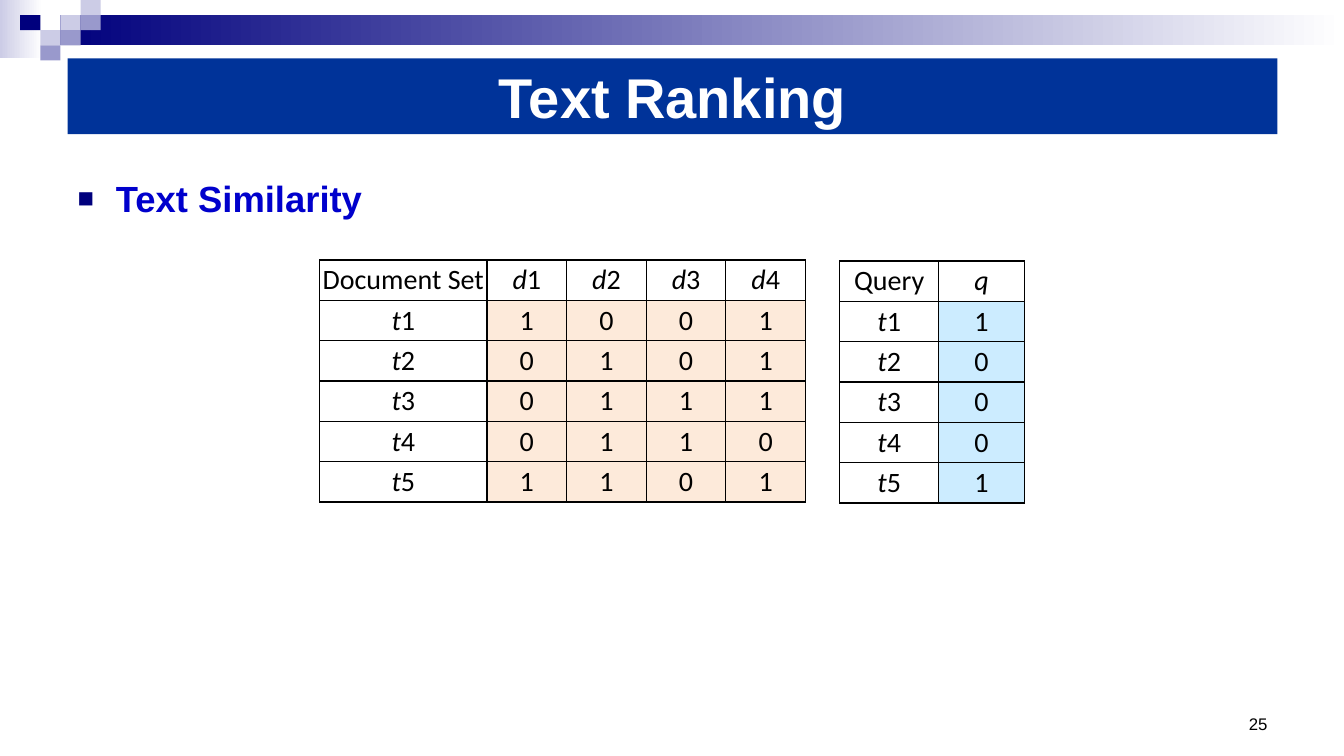
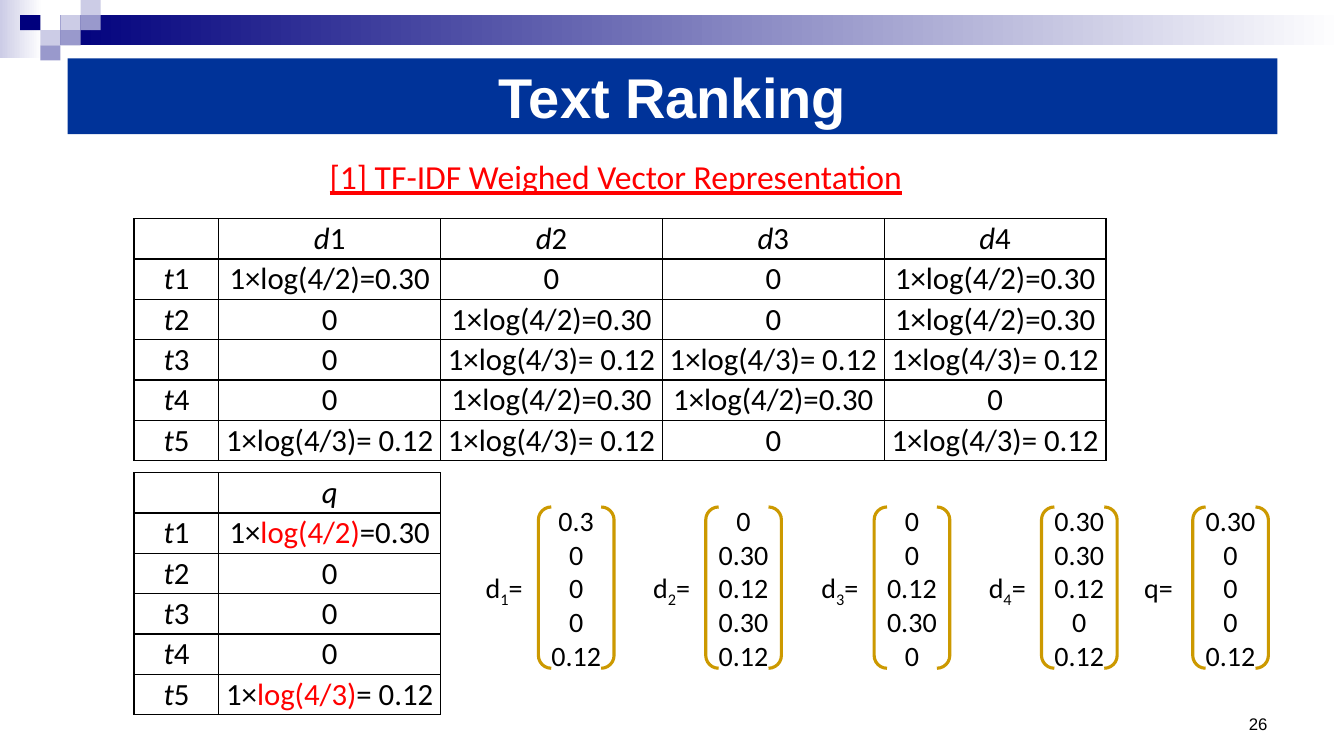
from lxml import etree
from pptx import Presentation
from pptx.dml.color import RGBColor
from pptx.enum.shapes import MSO_SHAPE
from pptx.enum.text import MSO_ANCHOR, MSO_AUTO_SIZE, PP_ALIGN
from pptx.oxml.ns import qn
from pptx.util import Pt

PX = 9144  # EMU per px, 100 px to the inch
LEFT, CENTER, RIGHT = PP_ALIGN.LEFT, PP_ALIGN.CENTER, PP_ALIGN.RIGHT
TOP, MIDDLE, BOTTOM = MSO_ANCHOR.TOP, MSO_ANCHOR.MIDDLE, MSO_ANCHOR.BOTTOM
RECT, BRACKETS = MSO_SHAPE.RECTANGLE, MSO_SHAPE.DOUBLE_BRACKET
NO_FIT = MSO_AUTO_SIZE.NONE
TITLE_AND_BODY, TITLE_ONLY = 1, 5

WHITE = RGBColor(0xFF, 0xFF, 0xFF)
BLACK = RGBColor(0, 0, 0)
RED = RGBColor(0xFF, 0, 0)
NAVY = RGBColor(0, 0, 0x7D)
BAND_BLUE = RGBColor(0, 0x33, 0x99)
LIST_BLUE = RGBColor(0, 0, 0xCC)
LILAC = RGBColor(0xCC, 0xCC, 0xE6)
VIOLET = RGBColor(0x99, 0x99, 0xCC)
PEACH = RGBColor(0xFD, 0xEA, 0xDA)
SKY = RGBColor(0xCC, 0xEC, 0xFF)
GOLD = RGBColor(0xCC, 0x99, 0)

# Corner mosaic and bar: left, top, width, height, colours
GRADIENTS = [(0, 0, 42, 58, LILAC), (60, 15, 1273, 30, NAVY)]
TILES = [(60, 15, LILAC), (80, 0, LILAC), (80, 15, VIOLET), (40, 30, LILAC),
         (20, 15, NAVY), (60, 30, VIOLET), (40, 45, VIOLET)]

# Term counts: one row per term, one column per document
COUNTS = [(1, 0, 0, 1), (0, 1, 0, 1), (0, 1, 1, 1), (0, 1, 1, 0), (1, 1, 0, 1)]
QUERY = (1, 0, 0, 0, 1)
IDF = {2: ("log(4/2)", "=0.30"), 3: ("log(4/3)", "= 0.12")}

# Vectors: left edge of the brackets, name, index, components
VECTORS = [
    (534, "d", "1", ["0.3", "0", "0", "0", "0.12"]),
    (700, "d", "2", ["0", "0.30", "0.12", "0.30", "0.12"]),
    (867, "d", "3", ["0", "0", "0.12", "0.30", "0"]),
    (1033, "d", "4", ["0.30", "0.30", "0.12", "0", "0.12"]),
    (1183, "q", "", ["0.30", "0", "0", "0", "0.12"]),
]


def write(frame, *lines, size=20, font="Calibri", color=BLACK, bold=False,
          underline=False, align=LEFT, anchor=TOP, wrap=True):
    """Fill a frame; a line is a string or a list of (text, style) runs."""
    frame.word_wrap = wrap
    frame.vertical_anchor = anchor
    for number, line in enumerate(lines):
        paragraph = frame.add_paragraph() if number else frame.paragraphs[0]
        paragraph.alignment = align
        for text, style in [(line, {})] if isinstance(line, str) else line:
            run = paragraph.add_run()
            run.text = text
            run.font.name, run.font.size = font, Pt(size)
            run.font.bold, run.font.underline = bold, underline
            run.font.italic = style.get("italic", False)
            run.font.color.rgb = style.get("color", color)
            if "baseline" in style:
                run.font._element.set("baseline", str(style["baseline"]))


def variable(letter, index=""):
    return [(letter, {"italic": True})] + ([(str(index), {})] if index else [])


def weight(count, counts, color=BLACK):
    """TF-IDF cell of a term that occurs as listed in counts."""
    if not count:
        return "0"
    log, result = IDF[sum(counts)]
    return [(f"{count}×", {}), (log, {"color": color}), (result, {})]


def term_rows(header, rows):
    return [header] + [[variable("t", number), *row]
                       for number, row in enumerate(rows, 1)]


class Deck:
    def __init__(self):
        self.file = Presentation()
        self.file.slide_width, self.file.slide_height = 1333 * PX, 750 * PX
        self.slide = None

    def start(self, layout, title, number):
        """Add a slide with the shared bar, title band and number."""
        self.slide = self.file.slides.add_slide(self.file.slide_layouts[layout])
        for *box, color in GRADIENTS:
            fill = self.shape(RECT, *box).fill
            fill.gradient()
            fill.gradient_angle = 0
            for stop, tone in zip(fill.gradient_stops, (color, WHITE)):
                stop.color.rgb = tone
        for left, top, color in TILES:
            tile = self.shape(RECT, left, top, 20, 15)
            tile.fill.solid()
            tile.fill.fore_color.rgb = color
        band = self.place(self.slide.shapes.title, 67, 58, 1200, 75)
        band.fill.solid()
        band.fill.fore_color.rgb = BAND_BLUE
        write(band.text_frame, title, size=40, font="Arial", color=WHITE,
              bold=True, align=CENTER, anchor=MIDDLE)
        self.text(1111, 683, 156, 50, str(number), size=12, font="Arial",
                  align=RIGHT, anchor=BOTTOM)

    def place(self, holder, left, top, width, height):
        holder.left, holder.top = left * PX, top * PX
        holder.width, holder.height = width * PX, height * PX
        holder.text_frame.auto_size = NO_FIT
        return holder

    def shape(self, kind, left, top, width, height):
        shape = self.slide.shapes.add_shape(
            kind, left * PX, top * PX, width * PX, height * PX)
        shape.shadow.inherit = False
        shape.line.fill.background()
        return shape

    def text(self, left, top, width, height, *lines, **style):
        box = self.slide.shapes.add_textbox(
            left * PX, top * PX, width * PX, height * PX)
        write(box.text_frame, *lines, **style)

    def bullets(self, *lines):
        body = self.place(self.slide.placeholders[1], 67, 170, 1200, 533)
        write(body.text_frame, *lines, size=26, font="Arial",
              color=LIST_BLUE, bold=True)
        for paragraph in body.text_frame.paragraphs:
            paragraph.space_before = Pt(6)
            props = paragraph._p.get_or_add_pPr()
            props.set("marL", str(38 * PX))
            props.set("indent", str(-38 * PX))
            color = etree.SubElement(props, qn("a:buClr"))
            etree.SubElement(color, qn("a:srgbClr"), val=str(NAVY))
            etree.SubElement(props, qn("a:buSzPct"), val="75000")
            etree.SubElement(props, qn("a:buFont"), typeface="Arial")
            etree.SubElement(props, qn("a:buChar"), char="■")

    def table(self, left, top, widths, rows, size, tint=WHITE):
        """Bordered table; tint fills the cells inside the headings."""
        row_height = 40
        table = self.slide.shapes.add_table(
            len(rows), len(widths), left * PX, top * PX,
            sum(widths) * PX, len(rows) * row_height * PX).table
        table.first_row = table.horz_banding = False
        for column, width in zip(table.columns, widths):
            column.width = width * PX
        for r, row in enumerate(rows):
            table.rows[r].height = row_height * PX
            for c, content in enumerate(row):
                cell = table.cell(r, c)
                cell.margin_left = cell.margin_right = 0
                cell.margin_top = cell.margin_bottom = 0
                self.border(cell)
                cell.fill.solid()
                cell.fill.fore_color.rgb = tint if r and c else WHITE
                if content:
                    write(cell.text_frame, content, size=size, align=CENTER)
                cell.vertical_anchor = MIDDLE

    def border(self, cell):
        props = cell._tc.get_or_add_tcPr()
        for side in ("lnL", "lnR", "lnT", "lnB"):
            line = etree.SubElement(props, qn(f"a:{side}"), w=str(Pt(1)))
            fill = etree.SubElement(line, qn("a:solidFill"))
            etree.SubElement(fill, qn("a:srgbClr"), val=str(BLACK))

    def vector(self, left, name, index, components):
        brackets = self.shape(BRACKETS, left, 503, 75, 160)
        brackets.adjustments[0] = 0.17
        brackets.fill.background()
        brackets.line.color.rgb = GOLD
        brackets.line.width = Pt(2.25)
        write(brackets.text_frame, *components, align=CENTER, anchor=MIDDLE,
              wrap=False)
        label = [(name, {}), (index, {"baseline": -25000}), ("=", {})]
        self.text(left - 63, 561, 58, 44, [run for run in label if run[0]],
                  align=CENTER, wrap=False)


def main():
    deck = Deck()
    documents = [variable("d", number) for number in range(1, 5)]

    # Term counts of documents and query
    deck.start(TITLE_AND_BODY, "Text Ranking", 25)
    deck.bullets("Text Similarity")
    counts = [[str(count) for count in row] for row in COUNTS]
    deck.table(317, 258, [166] + [79] * 4,
               term_rows(["Document Set", *documents], counts), 20, PEACH)
    deck.table(833, 259, [98, 85],
               term_rows(["Query", variable("q")], [[str(q)] for q in QUERY]),
               20, SKY)

    # Weighted vectors
    deck.start(TITLE_ONLY, "Text Ranking", 26)
    deck.text(317, 150, 594, 50, "[1] TF-IDF Weighed Vector Representation",
              size=24, color=RED, underline=True)
    weights = [[weight(count, row) for count in row] for row in COUNTS]
    deck.table(133, 217, [84] + [220] * 4,
               term_rows(["", *documents], weights), 22)
    query_weights = [[weight(q, row, RED)] for q, row in zip(QUERY, COUNTS)]
    deck.table(133, 469, [84, 220],
               term_rows(["", variable("q")], query_weights), 22)
    for vector in VECTORS:
        deck.vector(*vector)

    deck.file.save("out.pptx")


if __name__ == "__main__":
    main()
